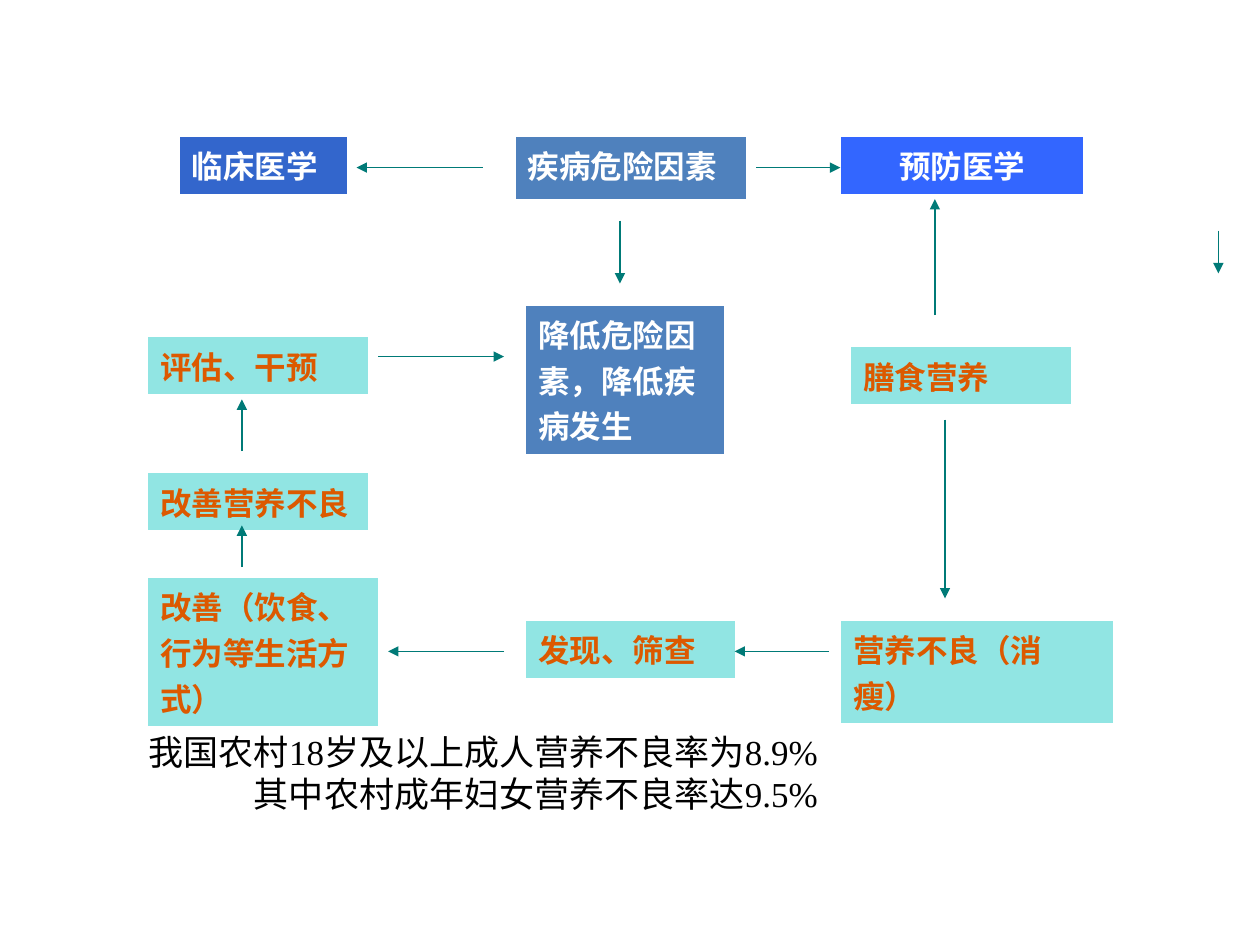
from lxml.etree import SubElement
from pptx import Presentation
from pptx.dml.color import RGBColor
from pptx.enum.shapes import MSO_CONNECTOR
from pptx.enum.text import PP_ALIGN
from pptx.oxml import parse_xml
from pptx.oxml.ns import nsdecls, qn
from pptx.util import Inches, Pt

WHITE = "FFFFFF"
BLUE = "4F81BD"
TEAL = "007A77"
AQUA = "91E5E3"
ORANGE = "DC5900"


def color(value):
    return RGBColor.from_string(value)


class FlowSlide:
    box_font = "Calibri"
    note_font = "Times New Roman"
    border_width = Pt(0.45)

    def __init__(self, presentation):
        self.slide = presentation.slides.add_slide(presentation.slide_layouts[6])

    def style(self, paragraph, font_name, size, text_color, bold=False):
        font = paragraph.font
        font.name = font_name
        font.size = Pt(size)
        font.bold = bold
        font.color.rgb = color(text_color)

    def box(self, text, left, top, width, height, fill=AQUA, text_color=ORANGE,
            alignment=PP_ALIGN.LEFT):
        frame = self.slide.shapes.add_table(
            1, 1, Inches(left), Inches(top), Inches(width), Inches(height))
        cell = frame.table.cell(0, 0)
        cell.fill.solid()
        cell.fill.fore_color.rgb = color(fill)
        cell.text = text
        paragraph = cell.text_frame.paragraphs[0]
        paragraph.alignment = alignment
        self.style(paragraph, self.box_font, 18, text_color, bold=True)
        self.border(cell)

    def border(self, cell):
        properties = cell._tc.get_or_add_tcPr()
        for position, side in enumerate(("lnL", "lnR", "lnT", "lnB")):
            properties.insert(position, parse_xml(
                f'<a:{side} {nsdecls("a")} w="{self.border_width}"><a:solidFill>'
                f'<a:srgbClr val="{WHITE}"/></a:solidFill></a:{side}>'))

    def arrow(self, start, end):
        connector = self.slide.shapes.add_connector(
            MSO_CONNECTOR.STRAIGHT, *map(Inches, start + end))
        connector.line.color.rgb = color(TEAL)
        connector.line.width = Pt(1)
        SubElement(connector.line._get_or_add_ln(), qn("a:tailEnd"), type="triangle")
        SubElement(connector._element.spPr, qn("a:effectLst"))

    def note(self, text, left, top, width, height):
        shape = self.slide.shapes.add_textbox(
            Inches(left), Inches(top), Inches(width), Inches(height))
        shape.text_frame.word_wrap = True
        shape.text_frame.text = text
        paragraph = shape.text_frame.paragraphs[0]
        paragraph.alignment = PP_ALIGN.RIGHT
        self.style(paragraph, self.note_font, 20, "000000")


def main():
    presentation = Presentation()
    presentation.slide_width = Inches(10)
    presentation.slide_height = Inches(7.5)
    flow = FlowSlide(presentation)

    flow.box("预防医学", 6.67, 1.08, 1.93, 0.4, "3366FF", WHITE, PP_ALIGN.CENTER)
    flow.box("疾病危险因素", 4.09, 1.08, 1.83, 0.5, BLUE, WHITE)
    flow.box("临床医学", 1.42, 1.08, 1.34, 0.4, "3366CC", WHITE)
    flow.box("降低危险因素，降低疾病发生", 4.17, 2.42, 1.58, 1.08, BLUE, WHITE)

    for text, left, top, width, height in (
        ("改善（饮食、行为等生活方式）", 1.17, 4.58, 1.83, 1),
        ("营养不良（消瘦）", 6.67, 4.92, 2.17, 0.7),
        ("发现、筛查", 4.17, 4.92, 1.67, 0.42),
        ("评估、干预", 1.17, 2.67, 1.75, 0.42),
        ("改善营养不良", 1.17, 3.75, 1.75, 0.4),
        ("膳食营养", 6.75, 2.75, 1.75, 0.42),
    ):
        flow.box(text, left, top, width, height)

    for start, end in (
        ((9.67, 1.83), (9.67, 2.17)),
        ((3.83, 1.33), (2.83, 1.33)),
        ((6, 1.33), (6.67, 1.33)),
        ((7.42, 2.5), (7.42, 1.58)),
        ((3, 2.83), (4, 2.83)),
        ((6.58, 5.17), (5.83, 5.17)),
        ((4, 5.17), (3.08, 5.17)),
        ((7.5, 3.33), (7.5, 4.75)),
        ((4.92, 1.75), (4.92, 2.25)),
        ((1.92, 3.58), (1.92, 3.17)),
        ((1.92, 4.5), (1.92, 4.17)),
    ):
        flow.arrow(start, end)

    flow.note("我国农村18岁及以上成人营养不良率为8.9%其中农村成年妇女营养不良率达9.5%",
              0.84, 5.75, 5.75, 0.77)
    presentation.save("out.pptx")


if __name__ == "__main__":
    main()
